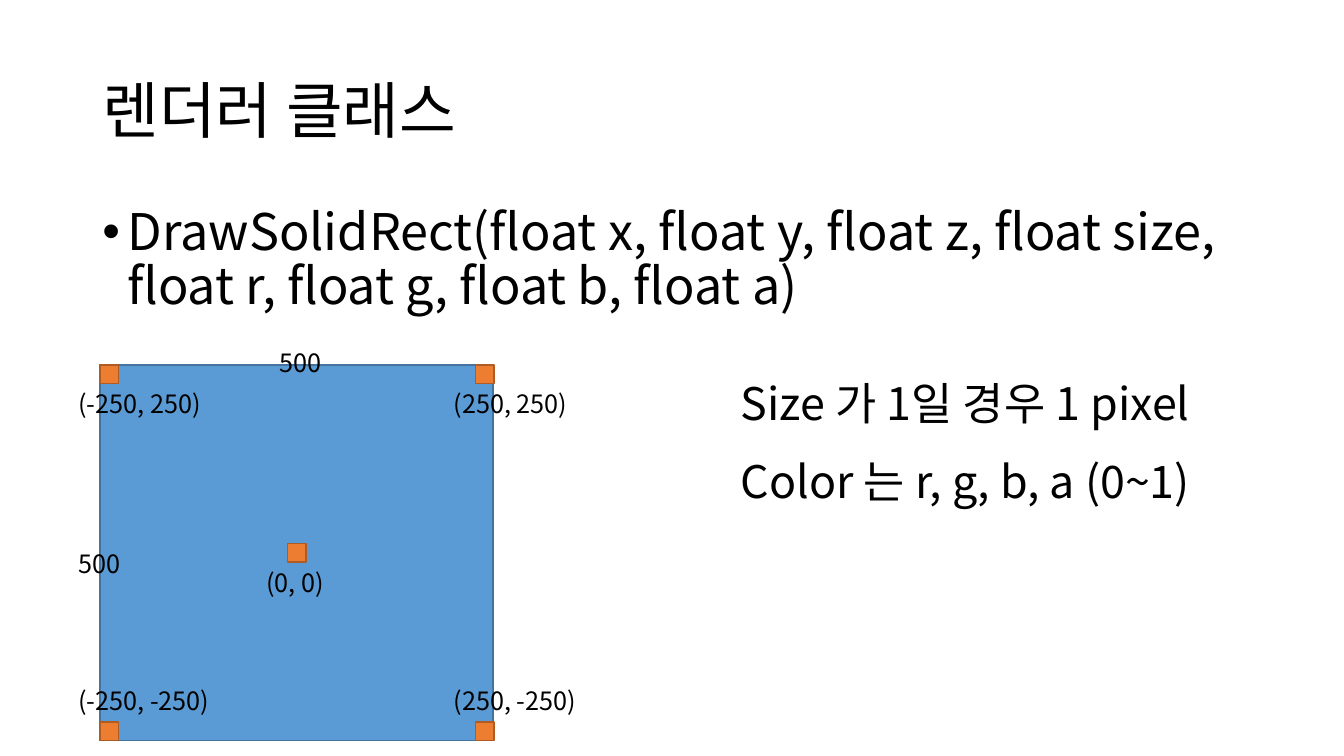
from lxml.etree import SubElement
from pptx import Presentation
from pptx.dml.color import RGBColor
from pptx.enum.shapes import MSO_SHAPE as Preset
from pptx.enum.text import MSO_ANCHOR as Anchor, MSO_AUTO_SIZE as Fit, PP_ALIGN as Align
from pptx.oxml.ns import qn
from pptx.util import Emu, Inches, Pt

CELL = Inches(1) // 12
COLUMNS, ROWS = 160, 90
FONT = "Noto Sans CJK KR"
BLACK = RGBColor(0x00, 0x00, 0x00)
BLUE, BLUE_EDGE = RGBColor(0x5B, 0x9B, 0xD5), RGBColor(0x43, 0x73, 0x9E)
ORANGE, ORANGE_EDGE = RGBColor(0xED, 0x7D, 0x31), RGBColor(0xAF, 0x5C, 0x24)
SQUARE = (11.9, 43.45, 46.8, 44.75)
MARK = 2.2
STEP_X, STEP_Y = 22.35, 21.25
POINTS = [(-1, 1), (1, 1), (0, 0), (-1, -1), (1, -1)]
SIDES = [(8.15, 64.65), (32.15, 40.8)]
NOTES = ["Size 가 1일 경우 1 pixel", "Color 는 r, g, b, a (0~1)"]


def cells(*counts):
    """Turn counts of grid cells into lengths."""
    return [Emu(round(count * CELL)) for count in counts]


def apply(target, formats):
    """Set each format value on the target."""
    for name, value in formats.items():
        setattr(target, name, value)


def write(holder, text, size, frame=None, paragraph=None):
    """Put one formatted paragraph into a text holder and return it."""
    body = holder.text_frame
    apply(body, {"word_wrap": True, "auto_size": Fit.NONE, **(frame or {})})
    line = body.paragraphs[0]
    apply(line, {"alignment": Align.LEFT, **(paragraph or {})})
    run = line.add_run()
    run.text = text
    apply(run.font, {"name": FONT, "size": Pt(size)})
    run.font.color.rgb = BLACK
    SubElement(run.font._element, qn("a:ea"), typeface=FONT)
    return line


def add_title(slide, text):
    """Fill and place the title placeholder."""
    title = slide.shapes.title
    apply(title, dict(zip(("left", "top", "width", "height"), cells(11, 4.8, 138, 17.4))))
    write(title, text, 44, {"vertical_anchor": Anchor.MIDDLE}, {"line_spacing": 0.9})


def add_label(slide, text, area, size=18, paragraph=None):
    """Add a text box over an area of the grid."""
    return write(slide.shapes.add_textbox(*cells(*area)), text, size, paragraph=paragraph)


def add_signature(slide, text):
    """Add the bulleted function signature."""
    line = add_label(slide, text, (11, 24, 138, 57.1), 36,
                     {"line_spacing": 0.9, "space_before": Pt(10)})
    props = line._p.get_or_add_pPr()
    apply_indent = {"marL": Inches(0.25), "indent": -Inches(0.25)}
    for name, value in apply_indent.items():
        props.set(name, str(value))
    SubElement(props, qn("a:buFont"), typeface="Arial")
    SubElement(props, qn("a:buChar"), char="•")


def add_box(slide, area, fill, edge):
    """Add a flat outlined rectangle."""
    box = slide.shapes.add_shape(Preset.RECTANGLE, *cells(*area))
    box.shadow.inherit = False
    box.fill.solid()
    box.fill.fore_color.rgb = fill
    box.line.color.rgb = edge
    box.line.width = Pt(1)


def add_point(slide, across, up):
    """Mark a point of the square and label its coordinates."""
    left = SQUARE[0] + (across + 1) * STEP_X
    top = SQUARE[1] + (1 - up) * STEP_Y
    label_top = top - 4.9 if up < 0 else top + MARK
    label_width = 21.6 if across else 11.6
    add_label(slide, f"({across * 250}, {up * 250})",
              (left - 3.75, label_top, label_width, 4.8))
    add_box(slide, (left, top, MARK, MARK), ORANGE, ORANGE_EDGE)


def main():
    """Build the slide and save it."""
    deck = Presentation()
    deck.slide_width, deck.slide_height = cells(COLUMNS, ROWS)
    slide = deck.slides.add_slide(deck.slide_layouts[5])
    add_title(slide, "렌더러 클래스")
    add_signature(slide, "DrawSolidRect(float x, float y, float z, float size, "
                         "float r, float g, float b, float a)")
    add_box(slide, SQUARE, BLUE, BLUE_EDGE)
    for left, top in SIDES:
        add_label(slide, "500", (left, top, 10.1, 4.8))
    for across, up in POINTS:
        add_point(slide, across, up)
    for row, note in enumerate(NOTES):
        add_label(slide, note, (87, 44.15 + row * 9.25, 62, 7.7), 32)
    deck.save("out.pptx")


main()
